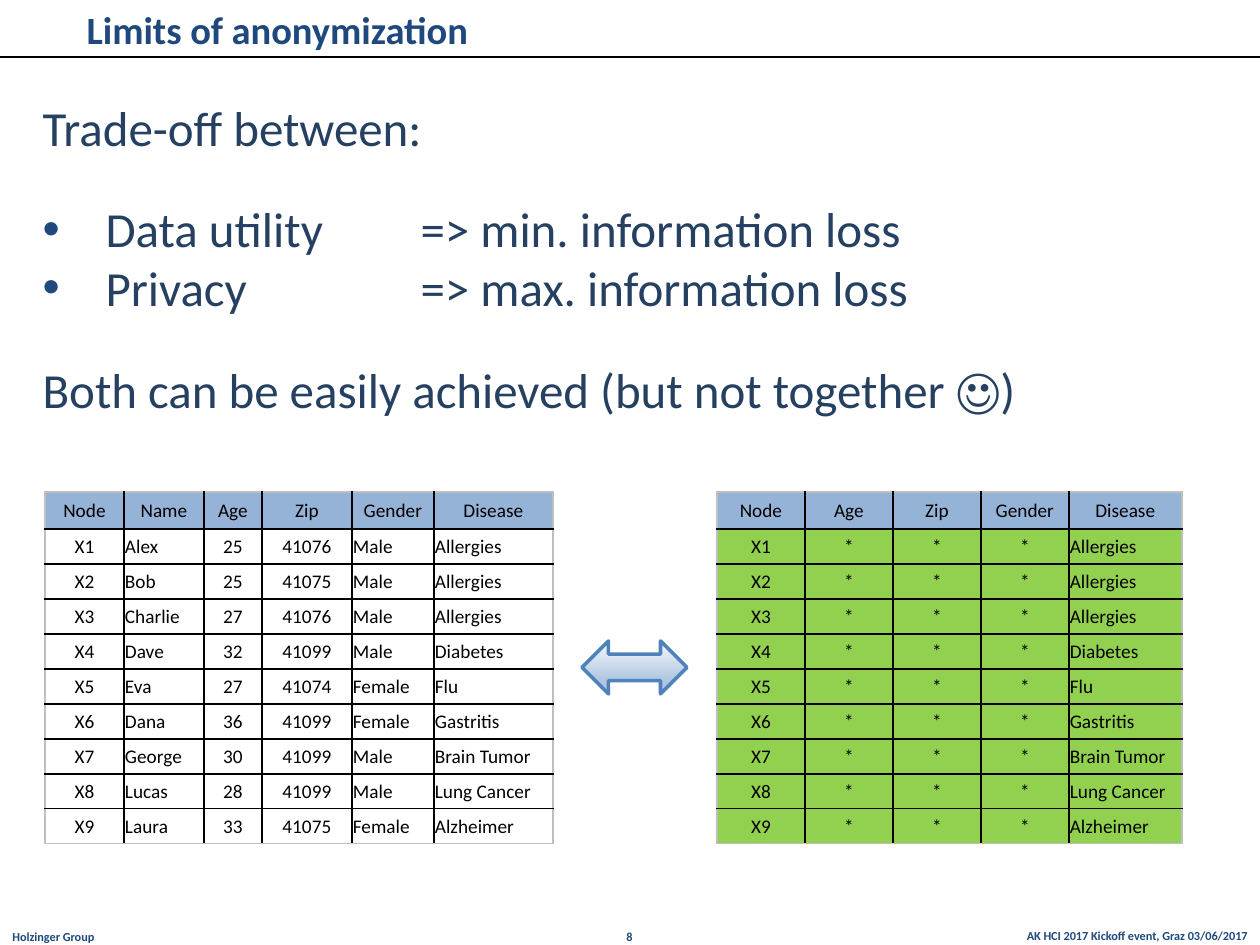
from dataclasses import dataclass

from lxml.etree import SubElement
from pptx import Presentation
from pptx.dml.color import RGBColor
from pptx.enum.shapes import MSO_CONNECTOR, MSO_SHAPE
from pptx.enum.text import MSO_ANCHOR as Anchor, MSO_AUTO_SIZE as AutoSize, PP_ALIGN as Align
from pptx.oxml.ns import qn
from pptx.util import Emu, Pt

PX_PER_INCH = 126


@dataclass(frozen=True)
class Theme:
    font: str = "Calibri"
    navy: str = "1F497D"
    body: str = "254061"
    black: str = "000000"
    frame: str = "BFBFBF"
    header: str = "95B3D7"
    masked: str = "92D050"
    arrow_line: str = "4F81BD"
    arrow_stops: tuple = ((0, "F6F9FC"), (74, "B0C6E1"), (83, "B0C6E1"), (100, "CAD9EB"))
    title_size: int = 22
    body_size: int = 28
    table_size: int = 11
    footer_size: int = 7
    body_gap: float = 24.4


THEME = Theme()

HEADINGS = ["Node", "Name", "Age", "Zip", "Gender", "Disease"]
PATIENTS = [
    ["X1", "Alex", "25", "41076", "Male", "Allergies"],
    ["X2", "Bob", "25", "41075", "Male", "Allergies"],
    ["X3", "Charlie", "27", "41076", "Male", "Allergies"],
    ["X4", "Dave", "32", "41099", "Male", "Diabetes"],
    ["X5", "Eva", "27", "41074", "Female", "Flu"],
    ["X6", "Dana", "36", "41099", "Female", "Gastritis"],
    ["X7", "George", "30", "41099", "Male", "Brain Tumor"],
    ["X8", "Lucas", "28", "41099", "Male", "Lung Cancer"],
    ["X9", "Laura", "33", "41075", "Female", "Alzheimer"],
]
# text, bulleted, opens a new group
STATEMENTS = [
    ("Trade-off between:", False, False),
    ("Data utility \t=> min. information loss", True, True),
    ("Privacy\t\t=> max. information loss", True, False),
    ("Both can be easily achieved (but not together ☺)", False, True),
]


def px(length):
    return Emu(round(length * 914400 / PX_PER_INCH))


def rgb(color):
    return RGBColor.from_string(color)


def add_span(para, text, size, color, bold=False):
    span = para.add_run()
    span.text = text
    font = span.font
    font.name, font.size, font.bold = THEME.font, Pt(size), bold
    font.color.rgb = rgb(color)


def place(shape, left, top, width, height):
    shape.left, shape.top = px(left), px(top)
    shape.width, shape.height = px(width), px(height)


def add_color(parent, color):
    SubElement(parent, qn("a:srgbClr"), val=color)


def fill_title(box, text):
    place(box, 74, 0, 800, 59)
    frame = box.text_frame
    frame.auto_size = AutoSize.NONE
    frame.vertical_anchor = Anchor.MIDDLE
    para = frame.paragraphs[0]
    para.alignment = Align.LEFT
    add_span(para, text, THEME.title_size, THEME.navy, bold=True)


def set_bullet(para, bulleted):
    props = para._p.get_or_add_pPr()
    indent = px(63) if bulleted else 0
    props.set("marL", str(indent))
    props.set("indent", str(-indent))
    props.set("defTabSz", str(px(PX_PER_INCH)))
    if bulleted:
        add_color(SubElement(props, qn("a:buClr")), THEME.navy)
        SubElement(props, qn("a:buFont"), typeface="Arial")
        SubElement(props, qn("a:buChar"), char="•")
    else:
        SubElement(props, qn("a:buNone"))


def fill_body(box, statements):
    place(box, 30, 91, 1115, 335)
    frame = box.text_frame
    frame.auto_size = AutoSize.NONE
    frame.vertical_anchor = Anchor.TOP
    for index, (text, bulleted, new_group) in enumerate(statements):
        para = frame.add_paragraph() if index else frame.paragraphs[0]
        para.space_before = Pt(THEME.body_gap if new_group else 0)
        set_bullet(para, bulleted)
        add_span(para, text, THEME.body_size, THEME.body)


def add_rule(page, top):
    rule = page.shapes.add_connector(MSO_CONNECTOR.STRAIGHT, 0, px(top), px(1260), px(top))
    rule.line.color.rgb = rgb(THEME.black)
    rule.line.width = Pt(0.75)
    SubElement(rule._element.spPr, qn("a:effectLst"))


def add_footer(page, text, left, top, width, align):
    box = page.shapes.add_textbox(px(left), px(top), px(width), px(38))
    frame = box.text_frame
    frame.word_wrap = True
    frame.vertical_anchor = Anchor.BOTTOM
    frame.margin_bottom = px(2)
    para = frame.paragraphs[0]
    para.alignment = align
    add_span(para, text, THEME.footer_size, THEME.navy, bold=True)


def set_borders(cell, outer_sides):
    """Draw black inner lines, and frame-coloured ones on the outer sides."""
    props = cell._tc.get_or_add_tcPr()
    for side in "LRTB":
        line = SubElement(props, qn(f"a:ln{side}"), w=str(Pt(1)))
        color = THEME.frame if side in outer_sides else THEME.black
        add_color(SubElement(line, qn("a:solidFill")), color)


def fill_cell(cell, text, align, fill):
    cell.margin_left = cell.margin_right = cell.margin_top = px(1)
    cell.margin_bottom = 0
    cell.vertical_anchor = Anchor.MIDDLE
    if fill:
        cell.fill.solid()
        cell.fill.fore_color.rgb = rgb(fill)
    else:
        cell.fill.background()
    para = cell.text_frame.paragraphs[0]
    para.alignment = align
    add_span(para, text, THEME.table_size, THEME.black)


def add_records(page, left, widths, records, left_aligned, body_fill=None):
    """Add a table whose body text is centred except in the left_aligned columns."""
    heights = [37] + [35] * (len(records) - 1)
    table = page.shapes.add_table(len(records), len(widths), px(left), px(492),
                                  px(sum(widths)), px(sum(heights))).table
    table.first_row = table.horz_banding = False
    for column, width in zip(table.columns, widths):
        column.width = px(width)
    for row, height in zip(table.rows, heights):
        row.height = px(height)
    last_row, last_col = len(records) - 1, len(widths) - 1
    for r, record in enumerate(records):
        for c, text in enumerate(record):
            edges = {"L": c == 0, "R": c == last_col, "T": r == 0, "B": r == last_row}
            cell = table.cell(r, c)
            set_borders(cell, [side for side, outer in edges.items() if outer])
            to_left = r > 0 and record is not HEADINGS and c in left_aligned
            fill_cell(cell, text, Align.LEFT if to_left else Align.CENTER,
                      body_fill if r else THEME.header)


def anonymize(record):
    return [record[0], "*", "*", "*", record[-1]]


def add_exchange_arrow(page):
    arrow = page.shapes.add_shape(MSO_SHAPE.LEFT_RIGHT_ARROW, px(582), px(641), px(105), px(53))
    arrow.shadow.inherit = False
    arrow.line.color.rgb = rgb(THEME.arrow_line)
    arrow.line.width = Pt(2)
    arrow.fill.gradient()
    gradient = arrow._element.spPr.find(qn("a:gradFill"))
    stops = gradient.find(qn("a:gsLst"))
    for stop in list(stops):
        stops.remove(stop)
    for percent, color in THEME.arrow_stops:
        add_color(SubElement(stops, qn("a:gs"), pos=str(percent * 1000)), color)
    arrow.fill.gradient_angle = 270


def main():
    deck = Presentation()
    deck.slide_width, deck.slide_height = px(1260), px(945)
    page = deck.slides.add_slide(deck.slide_layouts[1])
    title, body = page.placeholders

    add_rule(page, 57)
    add_footer(page, "AK HCI 2017 Kickoff event, Graz 03/06/2017", 828, 907, 432, Align.RIGHT)
    add_footer(page, "Holzinger Group", 0, 908, 362, Align.LEFT)
    add_footer(page, "8", 513, 908, 233, Align.CENTER)
    fill_title(title, "Limits of anonymization")
    fill_body(body, STATEMENTS)
    add_records(page, 45, [79, 80, 58, 90, 82, 119], [HEADINGS] + PATIENTS, {1, 4, 5})
    masked = [HEADINGS[:1] + HEADINGS[2:]] + [anonymize(record) for record in PATIENTS]
    add_records(page, 717, [88, 88, 88, 88, 113], masked, {4}, THEME.masked)
    add_exchange_arrow(page)
    deck.save("out.pptx")


if __name__ == "__main__":
    main()
